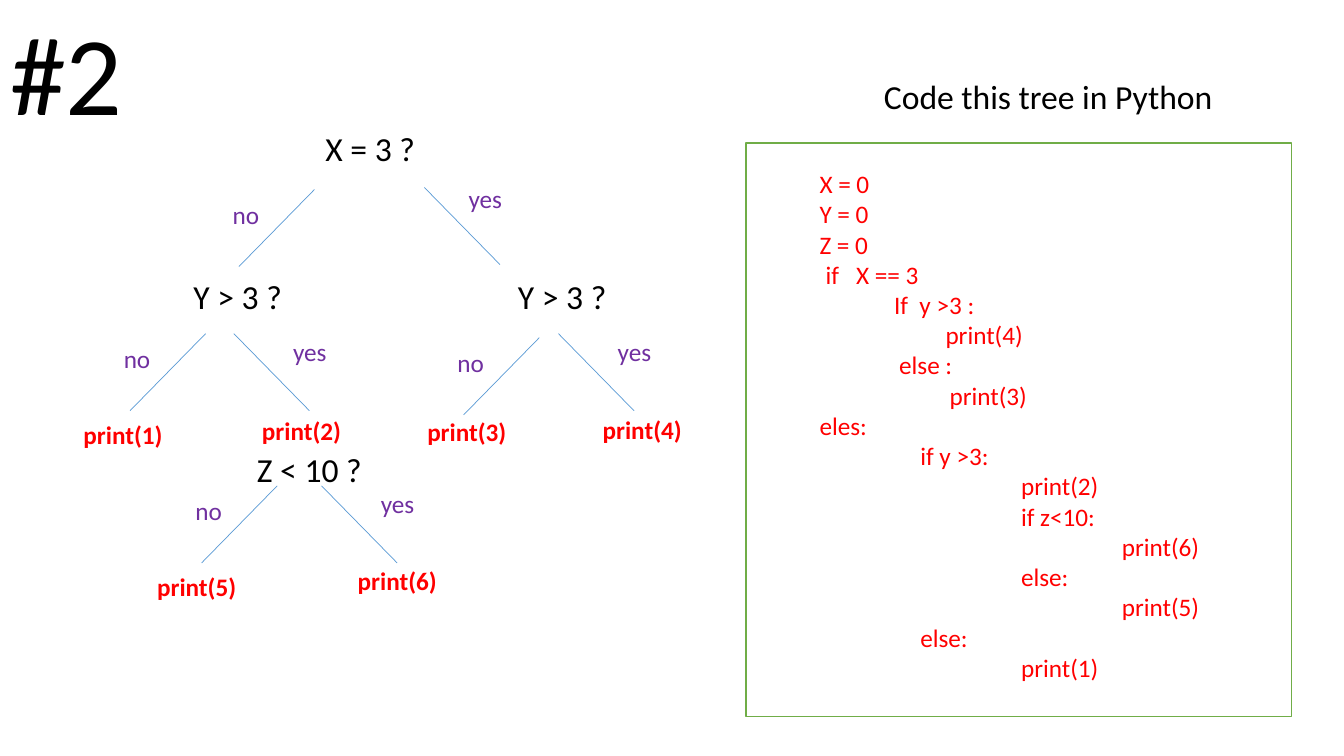
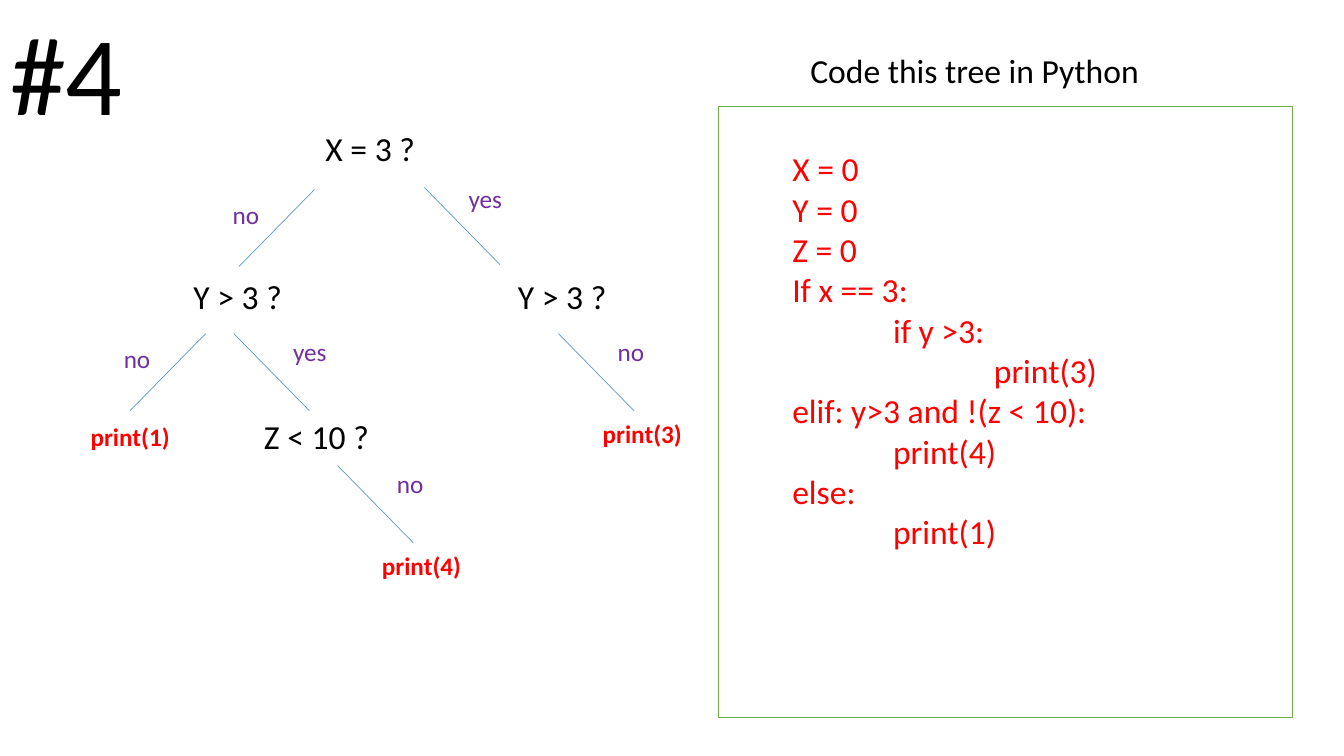
from lxml import etree
from pptx import Presentation
from pptx import util as u
from pptx.dml.color import RGBColor
from pptx.enum import shapes, text
from pptx.oxml.ns import qn

# Grid: square cells, ten to the inch
CELL = 0.1
COLUMNS, ROWS = 133.33, 75

# Width in columns of each text on the tree
WIDTHS = {"yes": 5.4, "no": 4.7, "Z < 10 ?": 12.5}
QUESTION_WIDTH, LEAF_WIDTH, HEADING_WIDTH = 11, 9.9, 34.9

# A branch falls to the left for LEFT and to the right for RIGHT
LEFT, RIGHT = -1, 1
BRANCH_WIDTH, BRANCH_HEIGHT = 7.5, 7.65
LABEL_OFFSET = {LEFT: (-9.1, 0.45), RIGHT: (4.9, -0.2)}


def cells(count):
    return u.Inches(round(count * CELL, 3))


def color(hex_string):
    return RGBColor.from_string(hex_string)


class TreeDeck:
    """Holds the style and the slide being filled."""

    FONT = "Calibri"
    BLACK, RED, PURPLE = "000000", "FF0000", "7030A0"
    BLUE, GREEN, WHITE = "5B9BD5", "70AD47", "FFFFFF"

    def __init__(self):
        self.presentation = Presentation()
        self.presentation.slide_width = cells(COLUMNS)
        self.presentation.slide_height = cells(ROWS)
        self.slide = None

    def place(self, shape, left, top, width, height):
        shape.left, shape.top = cells(left), cells(top)
        shape.width, shape.height = cells(width), cells(height)

    def add_words(self, paragraph, words, size, hex_string, bold=False):
        paragraph.alignment = text.PP_ALIGN.LEFT
        run = paragraph.add_run()
        run.text = words
        run.font.name, run.font.size = self.FONT, u.Pt(size)
        run.font.bold = bold
        run.font.color.rgb = color(hex_string)

    def start_slide(self, number):
        layout = self.presentation.slide_layouts[1]
        self.slide = self.presentation.slides.add_slide(layout)
        title = self.slide.shapes.title
        self.place(title, 0, -0.2, 13.3, 14.5)
        frame = title.text_frame
        frame.word_wrap = False
        frame.auto_size = text.MSO_AUTO_SIZE.NONE
        frame.vertical_anchor = text.MSO_ANCHOR.TOP
        self.add_words(frame.paragraphs[0], number, 80, self.BLACK)

    def label(self, words, left, top, width, size, hex_string, bold=False):
        height = 5 if size == 24 else 4
        box = self.slide.shapes.add_textbox(
            cells(left), cells(top), cells(width), cells(height))
        box.text_frame.word_wrap = False
        box.text_frame.auto_size = text.MSO_AUTO_SIZE.SHAPE_TO_FIT_TEXT
        self.add_words(box.text_frame.paragraphs[0], words, size, hex_string,
                       bold)

    def heading(self, left, top):
        self.label("Code this tree in Python", left, top, HEADING_WIDTH,
                   24, self.BLACK)

    def question(self, words, left, top):
        self.label(words, left, top, WIDTHS.get(words, QUESTION_WIDTH),
                   24, self.BLACK)

    def leaf(self, words, left, top):
        self.label(words, left, top, LEAF_WIDTH, 18, self.RED, bold=True)

    def branch(self, side, answer, left, top, offset=None):
        line = self.slide.shapes.add_connector(
            shapes.MSO_CONNECTOR.STRAIGHT, cells(left), cells(top),
            cells(left + side * BRANCH_WIDTH), cells(top + BRANCH_HEIGHT))
        line.line.color.rgb = color(self.BLUE)
        line.line.width = u.Pt(0.5)
        etree.SubElement(line.element.spPr, qn("a:effectLst"))
        across, down = offset or LABEL_OFFSET[side]
        self.label(answer, left + across, top + down, WIDTHS[answer],
                   18, self.PURPLE)

    def frame(self, left, top, width, height):
        shape = self.slide.shapes.add_shape(
            shapes.MSO_SHAPE.RECTANGLE, cells(left), cells(top),
            cells(width), cells(height))
        shape.shadow.inherit = False
        shape.fill.solid()
        shape.fill.fore_color.rgb = color(self.WHITE)
        shape.line.color.rgb = color(self.GREEN)
        shape.line.width = u.Pt(1)
        # Behind the code, which sits in a placeholder
        self.slide.shapes.title.element.addprevious(shape.element)

    def code(self, lines, size, left, top, width, height):
        body = self.slide.placeholders[1]
        self.place(body, left, top, width, height)
        frame = body.text_frame
        frame.word_wrap = True
        frame.auto_size = text.MSO_AUTO_SIZE.NONE
        for index, (indent, words) in enumerate(lines):
            paragraph = frame.add_paragraph() if index else frame.paragraphs[0]
            paragraph.space_before = u.Pt(0)
            self.add_words(paragraph, words, size, self.RED)
            properties = paragraph._p.get_or_add_pPr()
            properties.set("marL", str(cells(indent)))
            properties.set("indent", "0")
            etree.SubElement(properties, qn("a:buNone"))

    def tree(self, questions, branches, leaves):
        for question in questions:
            self.question(*question)
        for branch in branches:
            self.branch(*branch)
        for leaf in leaves:
            self.leaf(*leaf)


# Part of the tree that every slide shows
SHARED_QUESTIONS = [("X = 3 ?", 31.3, 12.2), ("Y > 3 ?", 18.2, 26.9),
                    ("Y > 3 ?", 50.4, 26.9)]
SHARED_BRANCHES = [(LEFT, "no", 31.2, 18.8),
                   (RIGHT, "yes", 42.1, 18.6, (3.4, -0.9)),
                   (LEFT, "no", 20.4, 33.1), (RIGHT, "yes", 23.2, 33.1)]

# Each slide: its own parts of the tree, and its code as (indent, words)
SLIDES = [
    {
        "number": "#2",
        "heading": (86.7, 7),
        "frame": (74, 14.2, 54.1, 56.9),
        "questions": [("Z < 10 ?", 24.5, 44)],
        "branches": [(LEFT, "no", 53.5, 33.5), (RIGHT, "yes", 55.4, 33.1),
                     (LEFT, "no", 27.5, 48.2), (RIGHT, "yes", 31.9, 48.2)],
        "leaves": [("print(1)", 7.3, 41.1), ("print(2)", 25, 40.7),
                   ("print(3)", 41.4, 40.8), ("print(4)", 58.8, 40.6),
                   ("print(5)", 14.6, 56.2), ("print(6)", 34.5, 55.6)],
        "code_size": 18,
        "code_place": (80.3, 16.2, 47, 54),
        "code": [(0, "X = 0"), (0, "Y = 0"), (0, "Z = 0"),
                 (0.6, "if   X == 3"), (7.4, "If  y >3 :"),
                 (12.5, "print(4)"), (7.9, "else :"), (12.9, "print(3)"),
                 (0, "eles:"), (10, "if y >3:"), (20, "print(2)"),
                 (20, "if z<10:"), (30, "print(6)"), (20, "else:"),
                 (30, "print(5)"), (10, "else:"), (20, "print(1)")],
    },
    {
        "number": "#4",
        "heading": (79.4, 4.5),
        "frame": (71.3, 10.6, 56.9, 60.6),
        "questions": [("Z < 10 ?", 25.2, 40.8)],
        "branches": [(RIGHT, "no", 55.4, 33.1), (RIGHT, "no", 33.5, 46.2)],
        "leaves": [("print(1)", 8, 41.3), ("print(3)", 58.8, 41),
                   ("print(4)", 36.9, 54.1)],
        "code_size": 24,
        "code_place": (77.6, 14.2, 50, 45.4),
        "code": [(0, "X = 0"), (0, "Y = 0"), (0, "Z = 0"),
                 (0, "If x == 3:"), (10, "if y >3:"), (20, "print(3)"),
                 (0, "elif: y>3 and !(z < 10):"), (10, "print(4)"),
                 (0, "else:"), (10, "print(1)")],
    },
]


def main():
    deck = TreeDeck()
    for content in SLIDES:
        deck.start_slide(content["number"])
        deck.frame(*content["frame"])
        deck.heading(*content["heading"])
        deck.tree(SHARED_QUESTIONS + content["questions"],
                  SHARED_BRANCHES + content["branches"], content["leaves"])
        deck.code(content["code"], content["code_size"],
                  *content["code_place"])
    deck.presentation.save("out.pptx")


if __name__ == "__main__":
    main()
